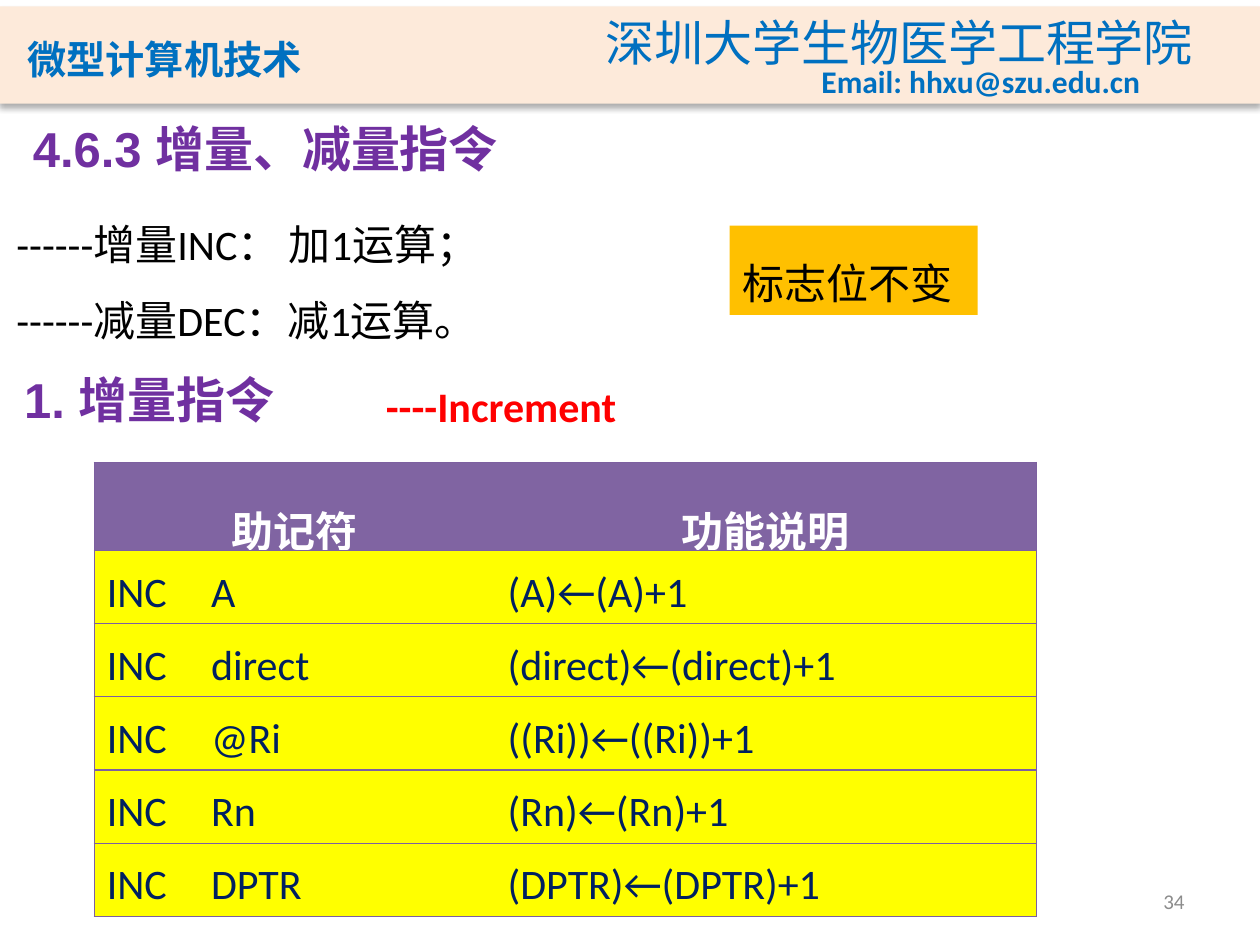
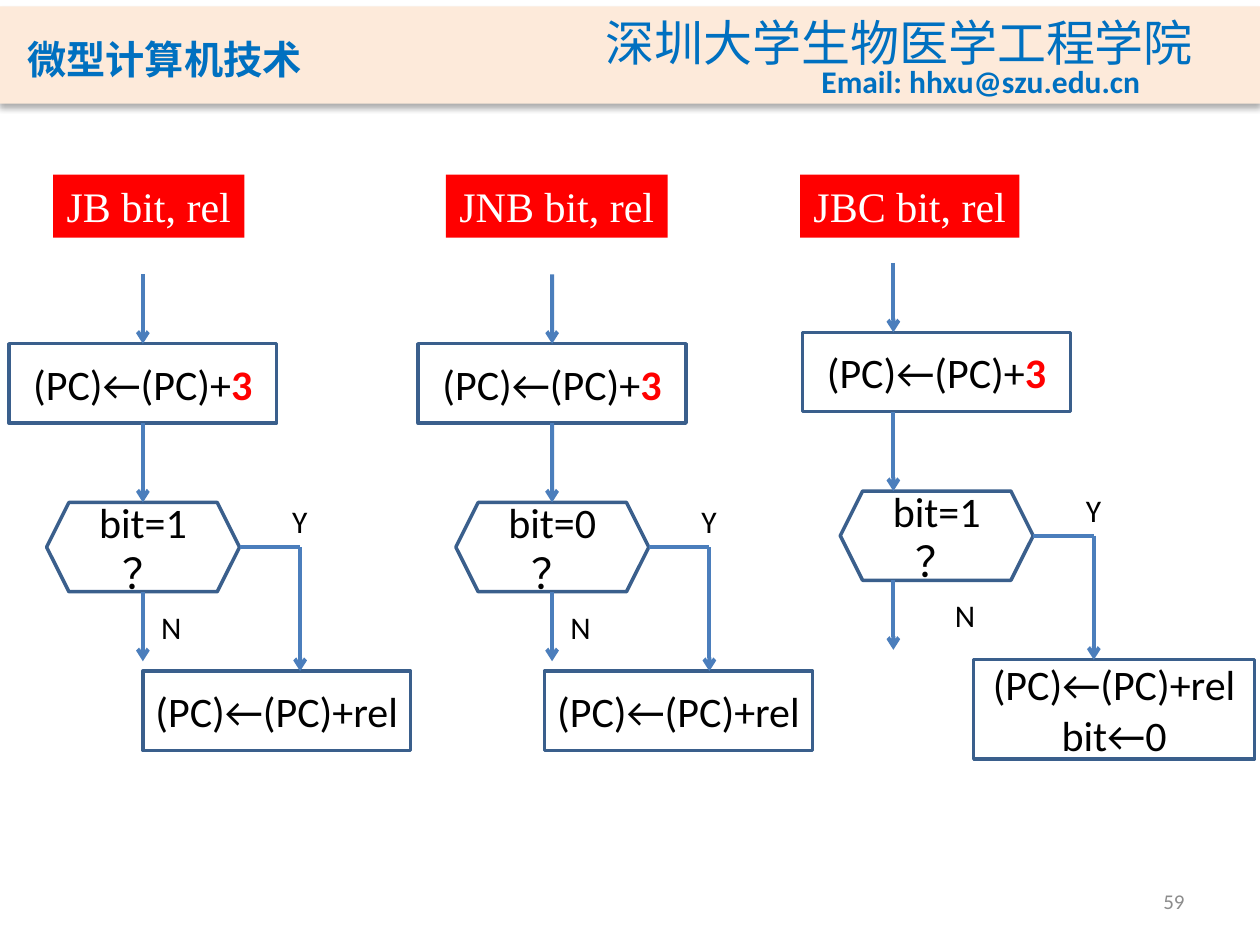
from dataclasses import dataclass, replace

import pptx
import pptx.dml.color
import pptx.enum.shapes
import pptx.enum.text
import pptx.oxml
import pptx.oxml.ns
import pptx.util

Cm = pptx.util.Cm
Pt = pptx.util.Pt
RGBColor = pptx.dml.color.RGBColor
Shape = pptx.enum.shapes.MSO_SHAPE
Align = pptx.enum.text.PP_ALIGN
Anchor = pptx.enum.text.MSO_ANCHOR
AutoSize = pptx.enum.text.MSO_AUTO_SIZE

BLACK = RGBColor(0x00, 0x00, 0x00)
WHITE = RGBColor(0xFF, 0xFF, 0xFF)
GRAY = RGBColor(0x8C, 0x8C, 0x8C)
RED = RGBColor(0xFF, 0x00, 0x00)
BAND_PEACH = RGBColor(0xFD, 0xEA, 0xDA)
BAND_BLUE = RGBColor(0x00, 0x70, 0xC0)
HEADING_PURPLE = RGBColor(0x70, 0x30, 0xA0)
NOTE_ORANGE = RGBColor(0xFF, 0xC0, 0x00)
TABLE_PURPLE = RGBColor(0x80, 0x64, 0xA2)
BORDER_PURPLE = RGBColor(0x7D, 0x60, 0xA0)
CELL_YELLOW = RGBColor(0xFF, 0xFF, 0x00)
CELL_NAVY = RGBColor(0x00, 0x20, 0x60)
OUTLINE_BLUE = RGBColor(0x3A, 0x5F, 0x8C)
ARROW_BLUE = RGBColor(0x4B, 0x7E, 0xBC)

PLAIN_TABLE_STYLE = "{2D5ABB26-0587-4C30-8999-92F81FD0307C}"


@dataclass(frozen=True)
class Style:
    size: float = 24
    color: RGBColor = BLACK
    font: str = "Calibri"
    bold: bool = False
    east_asian: str = ""
    small_caps: bool = False


BODY = Style()
HEADING = Style(28, HEADING_PURPLE, "Arial", True)
COURSE = Style(28, BAND_BLUE, "Noto Sans CJK JP", True, "Noto Sans CJK JP", True)
SCHOOL = Style(28, BAND_BLUE, "Noto Sans CJK SC", east_asian="Noto Sans CJK SC")
EMAIL = Style(18, BAND_BLUE, bold=True)
PAGE_NUMBER = Style(12, GRAY)
BRANCH = Style(18)
OPCODE = Style(24, WHITE, "Times New Roman")


def add_xml(parent, markup):
    namespace = pptx.oxml.ns.nsdecls("a")
    parent.append(pptx.oxml.parse_xml(markup.replace("/>", f" {namespace}/>", 1)
                                      if markup.count("<") == 1
                                      else markup.replace(">", f" {namespace}>", 1)))


def add_span(para, text, style):
    span = para.add_run()
    span.text = text
    span.font.size = Pt(style.size)
    span.font.bold = style.bold
    span.font.name = style.font
    span.font.color.rgb = style.color
    properties = span._r.get_or_add_rPr()
    if style.east_asian:
        latin = properties.find(pptx.oxml.ns.qn("a:latin"))
        add_xml(properties, f'<a:ea typeface="{style.east_asian}"/>')
        latin.addnext(properties[-1])
    if style.small_caps:
        properties.set("cap", "small")


def write(frame, lines, style, align=Align.LEFT, spacing=None, tab=None):
    """Write one paragraph per line; a line is a string or a list of (text, style)."""
    for index, line in enumerate(lines):
        para = frame.paragraphs[0] if index == 0 else frame.add_paragraph()
        if tab is not None:
            add_xml(para._p.get_or_add_pPr(),
                    f'<a:tabLst><a:tab pos="{tab}" algn="l"/></a:tabLst>')
        para.alignment = align
        if spacing:
            para.line_spacing = spacing
        for text, span_style in [(line, style)] if isinstance(line, str) else line:
            add_span(para, text, span_style)


def fill_frame(box, lines, style, align=Align.LEFT, anchor=Anchor.TOP,
               wrap=True, grow=False, spacing=None):
    frame = box.text_frame
    frame.word_wrap = wrap
    frame.auto_size = AutoSize.SHAPE_TO_FIT_TEXT if grow else AutoSize.NONE
    frame.vertical_anchor = anchor
    write(frame, lines, style, align, spacing)


def add_text(page, area, lines, style, **layout):
    box = page.shapes.add_textbox(*map(Cm, area))
    fill_frame(box, lines, style, **layout)


def add_label(page, area, text, style, align=Align.LEFT):
    """A single line that never wraps."""
    add_text(page, area, [text], style, align=align, wrap=False, grow=True)


def add_box(page, area, kind=Shape.RECTANGLE, fill=None, line=None):
    box = page.shapes.add_shape(kind, *map(Cm, area))
    box.shadow.inherit = False
    if fill is None:
        box.fill.background()
    else:
        box.fill.solid()
        box.fill.fore_color.rgb = fill
    if line is None:
        box.line.fill.background()
    else:
        box.line.color.rgb = line
        box.line.width = Pt(2)
    return box


def add_line(page, start, end, arrow=True):
    line = page.shapes.add_connector(pptx.enum.shapes.MSO_CONNECTOR.STRAIGHT,
                                     *map(Cm, start + end))
    line.line.color.rgb = ARROW_BLUE
    line.line.width = Pt(2.25)
    if arrow:
        add_xml(line.line._get_or_add_ln(), '<a:tailEnd type="arrow"/>')
    add_xml(line._element.spPr, "<a:effectLst/>")
    return line


def add_frame(page, number):
    """Header band and page number, shared by all pages."""
    band = add_box(page, (0, 0.13, 25.4, 1.96), fill=BAND_PEACH)
    properties = band._element.spPr
    properties.remove(properties.find(pptx.oxml.ns.qn("a:effectLst")))
    add_xml(properties,
            f'<a:effectLst><a:outerShdw blurRad="{Pt(3.5)}" dist="{Pt(2.2)}" '
            'dir="5400000" rotWithShape="0"><a:srgbClr val="000000">'
            '<a:alpha val="32000"/></a:srgbClr></a:outerShdw></a:effectLst>')
    add_text(page, (0.3, 0.41, 8.61, 1.42), ["微型计算机技术"], COURSE,
             anchor=Anchor.BOTTOM)
    add_label(page, (11.96, 0.13, 12.47, 1.45), "深圳大学生物医学工程学院", SCHOOL)
    add_label(page, (16.31, 1.12, 6.99, 1.02), "Email: hhxu@szu.edu.cn", EMAIL)
    add_text(page, (18.21, 17.65, 5.92, 1.02), [str(number)], PAGE_NUMBER,
             align=Align.RIGHT, anchor=Anchor.MIDDLE)


def style_cell(cell, fill, sides):
    properties = cell._tc.get_or_add_tcPr()
    for side in sides:
        add_xml(properties,
                f'<a:ln{side} w="{Pt(0.75)}"><a:solidFill>'
                f'<a:srgbClr val="{BORDER_PURPLE}"/></a:solidFill></a:ln{side}>')
    cell.fill.solid()
    cell.fill.fore_color.rgb = fill


def add_instruction_table(page, left, top, titles, rows):
    widths, header_height, row_height = (8.08, 10.92), 1.78, 1.47
    grid = page.shapes.add_table(
        len(rows) + 1, len(titles), Cm(left), Cm(top), Cm(sum(widths)),
        Cm(header_height + row_height * len(rows))).table
    grid._tbl.tblPr.find(pptx.oxml.ns.qn("a:tableStyleId")).text = PLAIN_TABLE_STYLE
    for column, width in zip(grid.columns, widths):
        column.width = Cm(width)
    for index, values in enumerate([titles, *rows]):
        header = index == 0
        grid.rows[index].height = Cm(header_height if header else row_height)
        for column, (value, side) in enumerate(zip(values, "LR")):
            cell = grid.cell(index, column)
            style_cell(cell, TABLE_PURPLE if header else CELL_YELLOW, (side, "T", "B"))
            if header:
                write(cell.text_frame, [value], replace(BODY, color=WHITE, bold=True),
                      Align.CENTER, 1.5)
            else:
                write(cell.text_frame, [value], replace(BODY, color=CELL_NAVY),
                      spacing=1.2, tab=Cm(2.1) if column == 0 else None)


def build_increment_page(page):
    add_frame(page, 34)
    add_label(page, (0.08, 2.26, 10.54, 1.45), "4.6.3 增量、减量指令", HEADING,
              Align.CENTER)
    add_text(page, (0.08, 3.78, 23.42, 3.15),
             ["------增量INC： 加1运算；", "------减量DEC：减1运算。"], BODY,
             grow=True, spacing=1.5)
    note = add_box(page, (14.71, 4.55, 5, 1.8), fill=NOTE_ORANGE)
    fill_frame(note, ["标志位不变"], BODY, grow=True, spacing=1.5)
    add_label(page, (0, 7.32, 6.02, 1.45), "1. 增量指令", HEADING, Align.CENTER)
    operands = [("A", "(A)"), ("direct", "(direct)"), ("@Ri", "((Ri))"),
                ("Rn", "(Rn)"), ("DPTR", "(DPTR)")]
    add_instruction_table(
        page, 1.9, 9.32, ("助记符", "功能说明"),
        [(f"INC\t{name}", f"{content}←{content}+1") for name, content in operands])
    add_label(page, (7.53, 7.54, 5.22, 1.27), "----Increment",
              replace(BODY, color=RED, bold=True))


@dataclass
class JumpFlow:
    """One bit-test jump; offsets are measured from the corner of its first step."""
    opcode: str
    bit: int
    left: float
    top: float
    label_left: float
    label_width: float
    target_left: float
    actions: tuple = ("(PC)←(PC)+rel",)
    target_size: tuple = (5.4, 1.6)
    axis: float = 2.7


STEP_WIDTH, STEP_HEIGHT = 5.4, 1.6
TEST_TOP, TEST_HEIGHT = 3.2, 1.8
TEST_LEFT, TEST_WIDTH = 0.76, 3.89
BRANCH_X, TARGET_TOP = 5.87, 6.6
ENTRY_LENGTH = 1.4


def add_jump_flow(page, flow):
    def at(x, y):
        return flow.left + x, flow.top + y

    def add_node(area, lines, kind=Shape.RECTANGLE):
        node = add_box(page, area, kind, line=OUTLINE_BLUE)
        fill_frame(node, lines, BODY, align=Align.CENTER, anchor=Anchor.MIDDLE)
        return node

    label = add_box(page, (flow.left + flow.label_left, 3.52, flow.label_width, 1.27),
                    fill=RED)
    fill_frame(label, [flow.opcode], OPCODE, align=Align.CENTER, wrap=False, grow=True)

    step = add_node((*at(0, 0), STEP_WIDTH, STEP_HEIGHT),
                    [[("(PC)←(PC)+", BODY), ("3", replace(BODY, color=RED, bold=True))]])
    add_node((*at(TEST_LEFT, TEST_TOP), TEST_WIDTH, TEST_HEIGHT),
             [f"bit={flow.bit}？"], Shape.HEXAGON)
    add_node((*at(flow.target_left, TARGET_TOP), *flow.target_size), flow.actions)

    test_bottom = TEST_TOP + TEST_HEIGHT
    test_middle = TEST_TOP + TEST_HEIGHT / 2
    entry = add_line(page, at(flow.axis, -ENTRY_LENGTH), at(flow.axis, 0))
    descent = add_line(page, at(flow.axis, STEP_HEIGHT), at(flow.axis, TEST_TOP))
    if flow.axis == STEP_WIDTH / 2:
        entry.end_connect(step, 0)
        descent.begin_connect(step, 2)
    add_line(page, at(flow.axis, test_bottom), at(flow.axis, test_bottom + ENTRY_LENGTH))
    add_line(page, at(TEST_LEFT + TEST_WIDTH, test_middle), at(BRANCH_X, test_middle),
             arrow=False)
    add_line(page, at(BRANCH_X, test_middle), at(BRANCH_X, TARGET_TOP))
    add_label(page, (*at(2.82, 5.2), 0.91, 1.02), "N", BRANCH, Align.CENTER)
    add_label(page, (*at(5.46, 3.07), 0.81, 1.02), "Y", BRANCH, Align.CENTER)


def build_jump_page(page):
    add_frame(page, 59)
    for flow in (
        JumpFlow("JB bit, rel", 1, 0.18, 6.93, 0.89, 3.86, 2.7),
        JumpFlow("JNB bit, rel", 0, 8.43, 6.93, 0.56, 4.47, 2.55),
        JumpFlow("JBC bit, rel", 1, 16.18, 6.7, -0.05, 4.42, 3.45,
                 ("(PC)←(PC)+rel", "bit←0"), (5.66, 2), 1.83),
    ):
        add_jump_flow(page, flow)


def main():
    deck = pptx.Presentation()
    deck.slide_width, deck.slide_height = Cm(25.4), Cm(19.05)
    for build in (build_increment_page, build_jump_page):
        build(deck.slides.add_slide(deck.slide_layouts[6]))
    deck.save("out.pptx")


if __name__ == "__main__":
    main()
